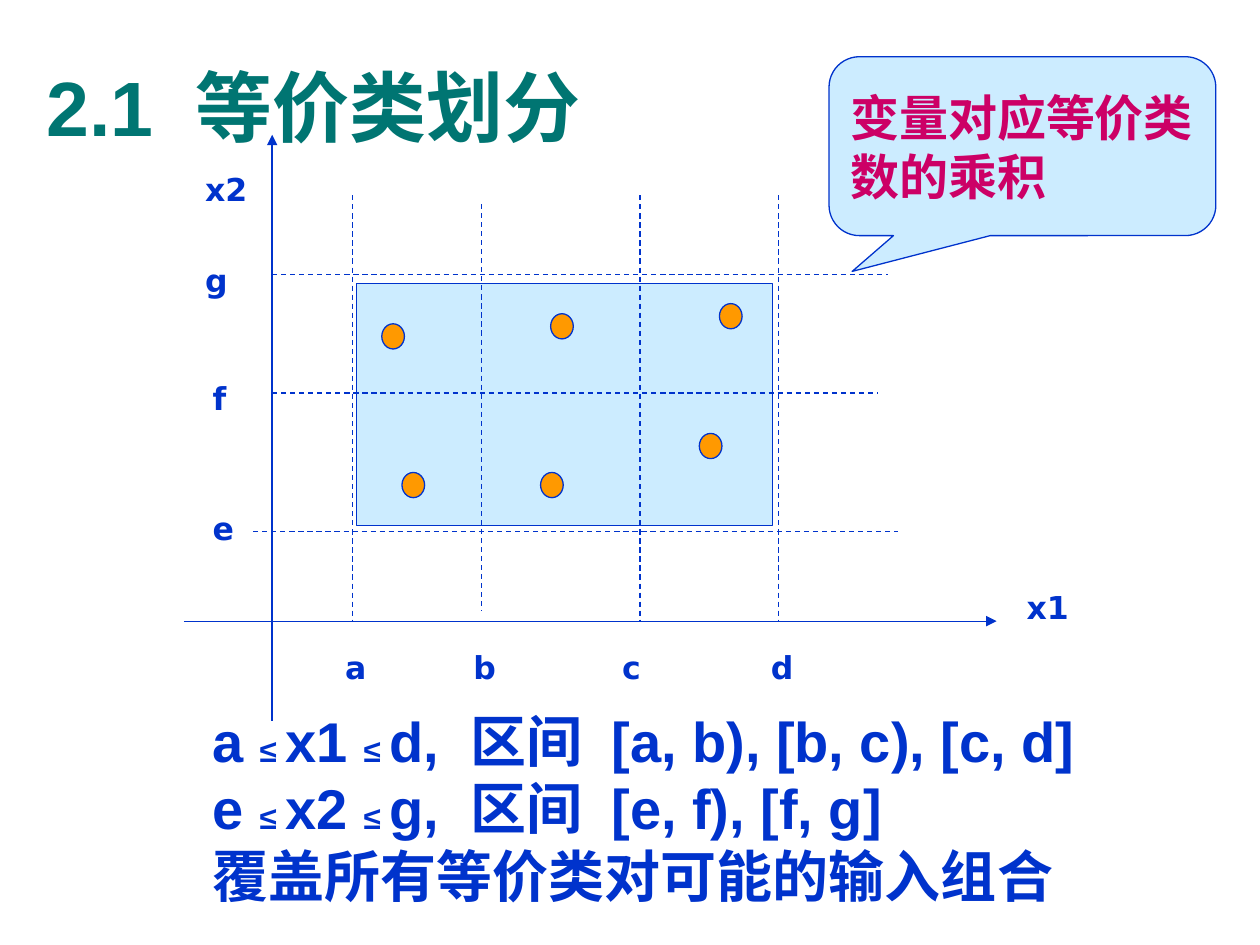
"""Build the equivalence class partitioning slide with its two-variable diagram."""
from lxml import etree
from pptx import Presentation
from pptx.dml.color import RGBColor
from pptx.enum.dml import MSO_LINE
from pptx.enum.shapes import MSO_CONNECTOR, MSO_SHAPE
from pptx.enum.text import MSO_ANCHOR, MSO_AUTO_SIZE, PP_ALIGN
from pptx.oxml.ns import qn
from pptx.util import Inches, Pt

STRAIGHT = MSO_CONNECTOR.STRAIGHT
RECTANGLE, OVAL = MSO_SHAPE.RECTANGLE, MSO_SHAPE.OVAL
CALLOUT = MSO_SHAPE.ROUNDED_RECTANGULAR_CALLOUT
DASH = MSO_LINE.DASH
LEFT, MIDDLE, TOP = PP_ALIGN.LEFT, MSO_ANCHOR.MIDDLE, MSO_ANCHOR.TOP
FIT = MSO_AUTO_SIZE.SHAPE_TO_FIT_TEXT

BLUE, PALE, ORANGE, TEAL, PINK = "0033CC", "CCECFF", "FF9900", "007572", "CC0066"
BODY, LABEL = "Arial", "DejaVu Sans"

AXES = [(1.46, 4.93, 7.91, 4.93), (2.16, 5.72, 2.16, 1.07)]
X_BOUNDS = [(2.8, 1.55, 4.93), (3.82, 1.62, 4.85), (5.08, 1.55, 4.93), (6.18, 1.55, 4.93)]
Y_BOUNDS = [(4.22, 2.01, 7.13), (3.12, 2.16, 6.97), (2.18, 2.16, 7.05)]
DOMAIN = (2.83, 2.25, 3.3, 1.92)
TEST_POINTS = [(3.03, 2.57), (4.37, 2.49), (5.71, 2.41),
               (3.19, 3.75), (4.29, 3.75), (5.55, 3.44)]
X_LABELS = [("a", 2.64), ("b", 3.66), ("c", 4.84), ("d", 6.02)]
SIDE_LABELS = [("x1", 8.05, 4.62), ("x2", 1.53, 1.3), ("e", 1.59, 3.99),
               ("f", 1.59, 2.96), ("g", 1.53, 2.02)]
X_LABEL_TOP = 5.09

TITLE = [[("2.1", 44), (" ", 44, 12), ("等价类划分", 44)]]
NOTE = [[("变量对应等价类", 28)], [("数的乘积", 28)]]
RANGES = [("a ", "x1 ", "d,", "[a, b), [b, c), [c, d]"),
          ("e ", "x2 ", "g,", "[e, f), [f, g]")]
WIDE_SPACE, AT_MOST = (" ", 32, 9), ("≤ ", 18)
SUMMARY = [[(low, 32), AT_MOST, (name, 32), AT_MOST, (high, 32), WIDE_SPACE,
            ("区间", 32), WIDE_SPACE, (intervals, 32)]
           for low, name, high, intervals in RANGES]
SUMMARY.append([("覆盖所有等价类对可能的输入组合", 32)])


def color(value):
    return RGBColor.from_string(value)


def add_line(shapes, ends, dashed=False):
    line = shapes.add_connector(STRAIGHT, *map(Inches, ends))
    line.line.color.rgb = color(BLUE)
    line.line.width = Pt(0.75)
    properties = line._element.spPr
    if dashed:
        line.line.dash_style = DASH
    else:
        etree.SubElement(line.line._get_or_add_ln(), qn("a:tailEnd"), type="triangle")
    etree.SubElement(properties, qn("a:effectLst"))


def add_figure(shapes, kind, box, fill):
    figure = shapes.add_shape(kind, *map(Inches, box))
    figure.shadow.inherit = False
    figure.fill.solid()
    figure.fill.fore_color.rgb = color(fill)
    figure.line.color.rgb = color(BLUE)
    figure.line.width = Pt(0.75)
    return figure


def write(frame, paragraphs, font, ink, indent=0, **settings):
    for key, value in settings.items():
        setattr(frame, key, value)
    for index, runs in enumerate(paragraphs):
        paragraph = frame.paragraphs[0] if index == 0 else frame.add_paragraph()
        paragraph.alignment = LEFT
        if indent:
            paragraph.level = 2
            paragraph._p.get_or_add_pPr().set("marL", str(Inches(indent)))
        for text, size, *spacing in runs:
            run = paragraph.add_run()
            run.text = text
            formats = {"name": font, "size": Pt(size), "bold": True}
            for key, value in formats.items():
                setattr(run.font, key, value)
            run.font.color.rgb = color(ink)
            if spacing:
                run._r.get_or_add_rPr().set("spc", str(spacing[0] * 100))


def add_text(shapes, box, paragraphs, font, ink, **settings):
    frame = shapes.add_textbox(*map(Inches, box)).text_frame
    write(frame, paragraphs, font, ink, word_wrap=True, **settings)


def main():
    deck = Presentation()
    deck.slide_width, deck.slide_height = Inches(10), Inches(7.5)
    shapes = deck.slides.add_slide(deck.slide_layouts[6]).shapes

    add_text(shapes, (0.27, 0.21, 9.34, 1.25), TITLE, BODY, TEAL, vertical_anchor=MIDDLE)
    for axis in AXES:
        add_line(shapes, axis)
    add_figure(shapes, RECTANGLE, DOMAIN, PALE)
    for x, top, bottom in X_BOUNDS:
        add_line(shapes, (x, top, x, bottom), dashed=True)
    for y, left, right in Y_BOUNDS:
        add_line(shapes, (left, y, right, y), dashed=True)
    for left, top in TEST_POINTS:
        add_figure(shapes, OVAL, (left, top, 0.18, 0.2), ORANGE)
    for name, left, top in SIDE_LABELS + [(name, x, X_LABEL_TOP) for name, x in X_LABELS]:
        add_text(shapes, (left, top, 0.73, 0.4), [[(name, 18)]], LABEL, BLUE, auto_size=FIT)
    add_text(shapes, (0.59, 5.56, 8.35, 1.7), SUMMARY, BODY, BLUE, indent=1,
             auto_size=FIT, vertical_anchor=TOP)

    callout = add_figure(shapes, CALLOUT, (6.58, 0.45, 3.07, 1.42), PALE)
    for index, value in enumerate((-0.44, 0.7, 0.17)):
        callout.adjustments[index] = value
    write(callout.text_frame, NOTE, BODY, PINK, word_wrap=False, vertical_anchor=MIDDLE)
    deck.save("out.pptx")


if __name__ == "__main__":
    main()
